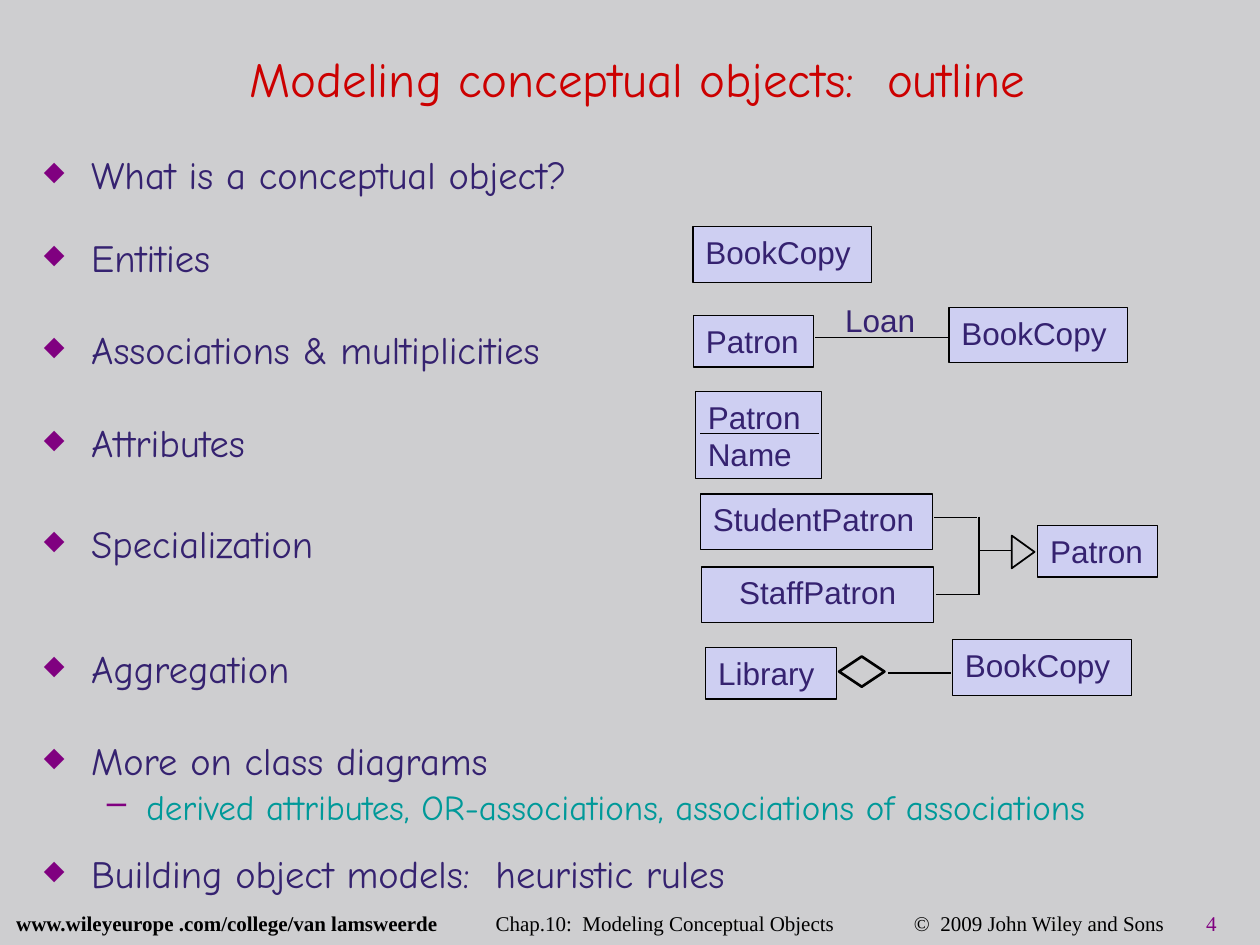
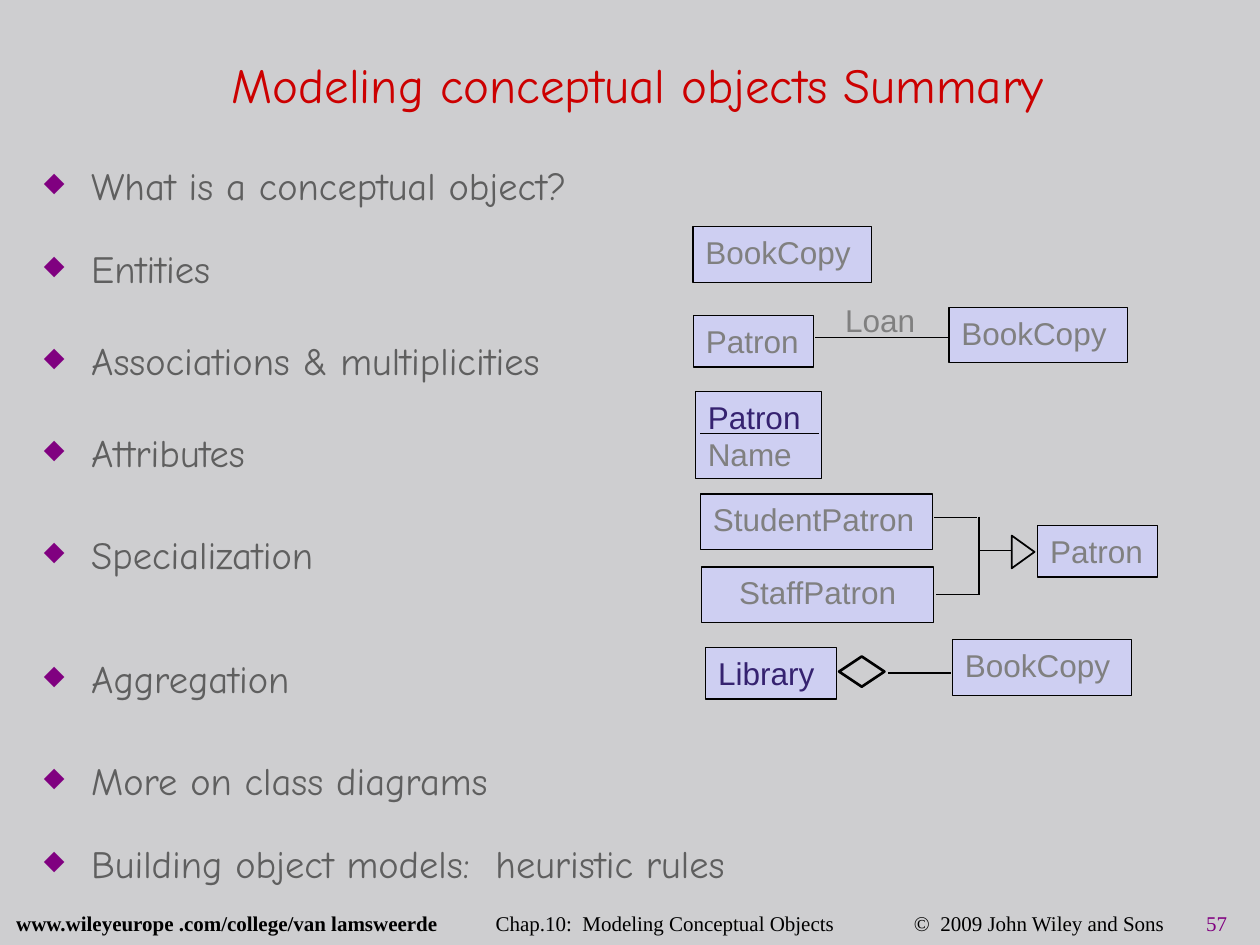
from dataclasses import dataclass

from lxml import etree
from pptx import Presentation
from pptx import util as u
from pptx.dml.color import RGBColor
from pptx.enum import shapes, text
from pptx.oxml.ns import qn

Pt = u.Pt
COLORS = {
    "background": "CECED0", "title": "CC0000", "ink": "352270", "accent": "800080",
    "detail": "009999", "box": "CECFF2", "line": "000000",
    "faded_list": "5F5F5F", "faded_label": "808080",
}
HEADING_FONT, LABEL_FONT, FOOTER_FONT = "Comic Neue", "Arial", "Times New Roman"
FOOTER_TABS = (274, 513, 680)
LEFT, CENTER = text.PP_ALIGN.LEFT, text.PP_ALIGN.CENTER
TOP, MIDDLE = text.MSO_ANCHOR.TOP, text.MSO_ANCHOR.MIDDLE


@dataclass
class Item:
    words: str
    spacing: float
    detail: bool = False


@dataclass
class ClassBox:
    names: tuple
    left: float
    top: float
    width: float
    height: float
    align: text.PP_ALIGN = LEFT
    vivid: bool = False  # the first name keeps the ink colour


@dataclass
class Link:
    start: tuple
    end: tuple
    weight: float = 0.75


@dataclass
class Marker:
    kind: shapes.MSO_SHAPE
    left: float
    top: float
    width: float
    height: float
    rotation: float
    weight: float


@dataclass
class Outline:
    title: str
    title_top: float
    number: str
    body_width: float
    list_color: str
    label_color: str
    closing: tuple


TOPICS = (
    Item("What is a conceptual object?", 1.1),
    Item("Entities", 1.4),
    Item("Associations & multiplicities", 1.6),
    Item("Attributes", 1.6),
    Item("Specialization", 1.8),
    Item("Aggregation", 2.3),
)
MORE, RULES = "More on class diagrams", "Building object models:  heuristic rules"
OUTLINES = (
    Outline("Modeling conceptual objects:  outline", 14.4, "4", 702, "ink", "ink", (
        Item(MORE, 1.6),
        Item("derived attributes, OR-associations, associations of associations", 0.8, True),
        Item(RULES, 1.1))),
    Outline("Modeling conceptual objects Summary", 18, "57", 447, "faded_list", "faded_label",
            (Item(MORE, 1.8), Item(RULES, 1.4))),
)

COPY_SIZE, PATRON_SIZE, SUBCLASS_SIZE = (102.2, 31.7), (68.4, 29.5), (132.5, 31.7)
LINKS = (
    Link((465.8, 193), (545, 193)),  # loan association
    Link((578.2, 314.6), (560.2, 314.6), 1),  # specialization tree
    Link((559.4, 295.2), (559.4, 339.8)),
    Link((559.4, 339.8), (535, 339.8)),
    Link((558, 295.9), (533.5, 295.9)),
    Link((507.6, 384.5), (543.6, 384.5)),  # aggregation
)
BOXES = (
    ClassBox(("BookCopy",), 396, 129.6, *COPY_SIZE),
    ClassBox(("Patron",), 396.3, 180.3, *PATRON_SIZE),
    ClassBox(("BookCopy",), 542.2, 175.7, *COPY_SIZE),
    ClassBox(("Patron", "Name"), 397.4, 223.7, 72, 49.7, vivid=True),
    ClassBox(("Patron",), 593, 300.2, *PATRON_SIZE),
    ClassBox(("StudentPatron",), 400.3, 282.4, *SUBCLASS_SIZE),
    ClassBox(("StaffPatron",), 401, 324, *SUBCLASS_SIZE, align=CENTER),
    ClassBox(("BookCopy",), 544.3, 365.6, *COPY_SIZE),
    ClassBox(("Library",), 403.3, 370, 74.9, 29.5, vivid=True),
)
ATTRIBUTE_RULE = Link((400.3, 247.9), (468, 247.9))
MARKERS = (
    Marker(shapes.MSO_SHAPE.ISOSCELES_TRIANGLE, 575.3, 308.9, 18.7, 13, 90, 1),
    Marker(shapes.MSO_SHAPE.FLOWCHART_DECISION, 479.5, 375.1, 25.9, 17.3, 180, 1.5),
)


def rgb(name: str) -> RGBColor:
    return RGBColor.from_string(COLORS[name])


def add_text(para, words: str, *, font: str, size: float, color: str, bold: bool = False):
    """Append one formatted span to a paragraph."""
    span = para.add_run()
    span.text = words
    span.font.name, span.font.size, span.font.bold = font, Pt(size), bold
    span.font.color.rgb = rgb(color)


def add_frame(page, left: float, top: float, width: float, height: float, anchor=TOP):
    box = page.shapes.add_textbox(Pt(left), Pt(top), Pt(width), Pt(height))
    box.text_frame.word_wrap = True
    box.text_frame.vertical_anchor = anchor
    return box.text_frame


def next_para(frame, index: int):
    return frame.add_paragraph() if index else frame.paragraphs[0]


def add_bullet(para, mark: str, percent: int, margin: float, hang: float) -> None:
    props = para._p.get_or_add_pPr()
    props.set("marL", str(Pt(margin)))
    props.set("indent", str(-Pt(hang)))
    color = etree.SubElement(props, qn("a:buClr"))
    etree.SubElement(color, qn("a:srgbClr"), val=COLORS["accent"])
    etree.SubElement(props, qn("a:buSzPct"), val=str(percent * 1000))
    etree.SubElement(props, qn("a:buChar"), char=mark)


def draw_footer(page, number: str) -> None:
    para = add_frame(page, 2.2, 520.6, 717.8, 17.3).paragraphs[0]
    tabs = etree.SubElement(para._p.get_or_add_pPr(), qn("a:tabLst"))
    for stop in FOOTER_TABS:
        etree.SubElement(tabs, qn("a:tab"), pos=str(Pt(stop)), algn="l")
    para.line_spacing = 0.7
    style = {"font": FOOTER_FONT, "size": 12}
    add_text(para, "www.wileyeurope .com/college/van lamsweerde", color="line", bold=True, **style)
    add_text(para, "\tChap.10:  Modeling Conceptual Objects"
                   "\t©  2009 John Wiley and Sons\t", color="line", **style)
    add_text(para, number, color="accent", **style)


def draw_list(page, items: tuple, width: float, color: str) -> None:
    frame = add_frame(page, 18, 102.2, width, 391.7, MIDDLE)
    for index, item in enumerate(items):
        para = next_para(frame, index)
        if item.detail:
            para.level = 1
            add_bullet(para, "–", 100, 58.5, 22.5)
        else:
            add_bullet(para, "◆", 70, 27, 27)
        para.line_spacing = item.spacing
        if index:
            para.space_before = Pt(6 if item.detail else 10.5)
        add_text(para, item.words, font=HEADING_FONT, size=20 if item.detail else 22,
                 color="detail" if item.detail else color)


def draw_shape(page, kind, place, weight: float):
    """Draw an unfilled black-edged preset shape."""
    shape = page.shapes.add_shape(kind, Pt(place.left), Pt(place.top),
                                  Pt(place.width), Pt(place.height))
    shape.shadow.inherit = False
    shape.fill.background()
    shape.line.color.rgb = rgb("line")
    shape.line.width = Pt(weight)
    return shape


def draw_class(page, spec_box: ClassBox, color: str) -> None:
    shape = draw_shape(page, shapes.MSO_SHAPE.RECTANGLE, spec_box, 0.75)
    shape.fill.solid()
    shape.fill.fore_color.rgb = rgb("box")
    frame = shape.text_frame
    frame.word_wrap = True
    frame.vertical_anchor = TOP
    for index, name in enumerate(spec_box.names):
        para = next_para(frame, index)
        para.alignment = spec_box.align
        vivid = spec_box.vivid and index == 0
        add_text(para, name, font=LABEL_FONT, size=18, color="ink" if vivid else color)


def draw_link(page, link: Link) -> None:
    line = page.shapes.add_connector(shapes.MSO_CONNECTOR.STRAIGHT,
                                     *(Pt(value) for value in link.start + link.end))
    line.line.color.rgb = rgb("line")
    line.line.width = Pt(link.weight)
    etree.SubElement(line._element.spPr, qn("a:effectLst"))


def draw_diagrams(page, color: str) -> None:
    for link in LINKS:
        draw_link(page, link)
    for class_box in BOXES:
        draw_class(page, class_box, color)
    draw_link(page, ATTRIBUTE_RULE)
    for marker in MARKERS:
        draw_shape(page, marker.kind, marker, marker.weight).rotation = marker.rotation
    loan = add_frame(page, 475.9, 168.5, 59.8, 29.5)
    add_text(loan.paragraphs[0], "Loan", font=LABEL_FONT, size=18, color=color)


def draw_page(deck, outline: Outline) -> None:
    page = deck.slides.add_slide(deck.slide_layouts[6])
    page.background.fill.solid()
    page.background.fill.fore_color.rgb = rgb("background")
    draw_footer(page, outline.number)
    title = add_frame(page, 23.8, outline.title_top, 681.1, 59.8, MIDDLE).paragraphs[0]
    title.alignment = CENTER
    add_text(title, outline.title, font=HEADING_FONT, size=28, color="title")
    draw_list(page, TOPICS + outline.closing, outline.body_width, outline.list_color)
    draw_diagrams(page, outline.label_color)


def main() -> None:
    deck = Presentation()
    deck.slide_width, deck.slide_height = Pt(720), Pt(540)
    for outline in OUTLINES:
        draw_page(deck, outline)
    deck.save("out.pptx")


if __name__ == "__main__":
    main()
